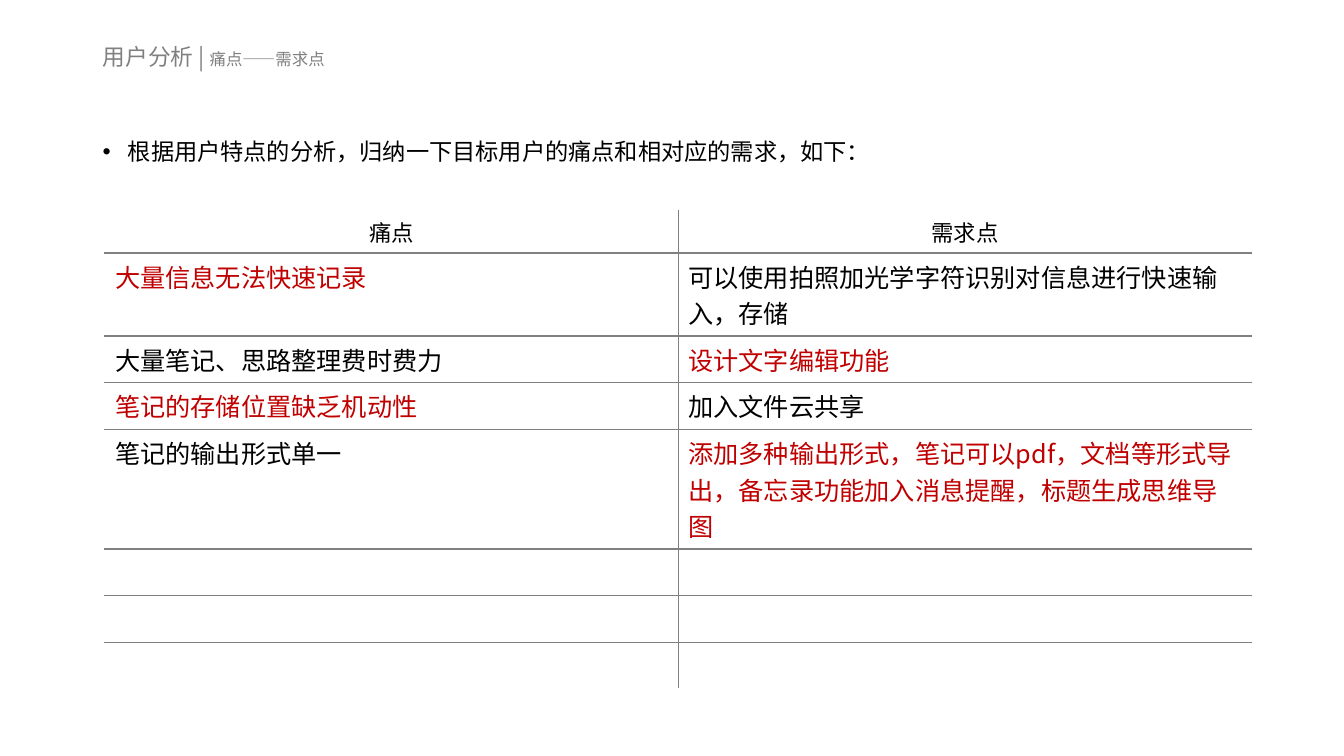
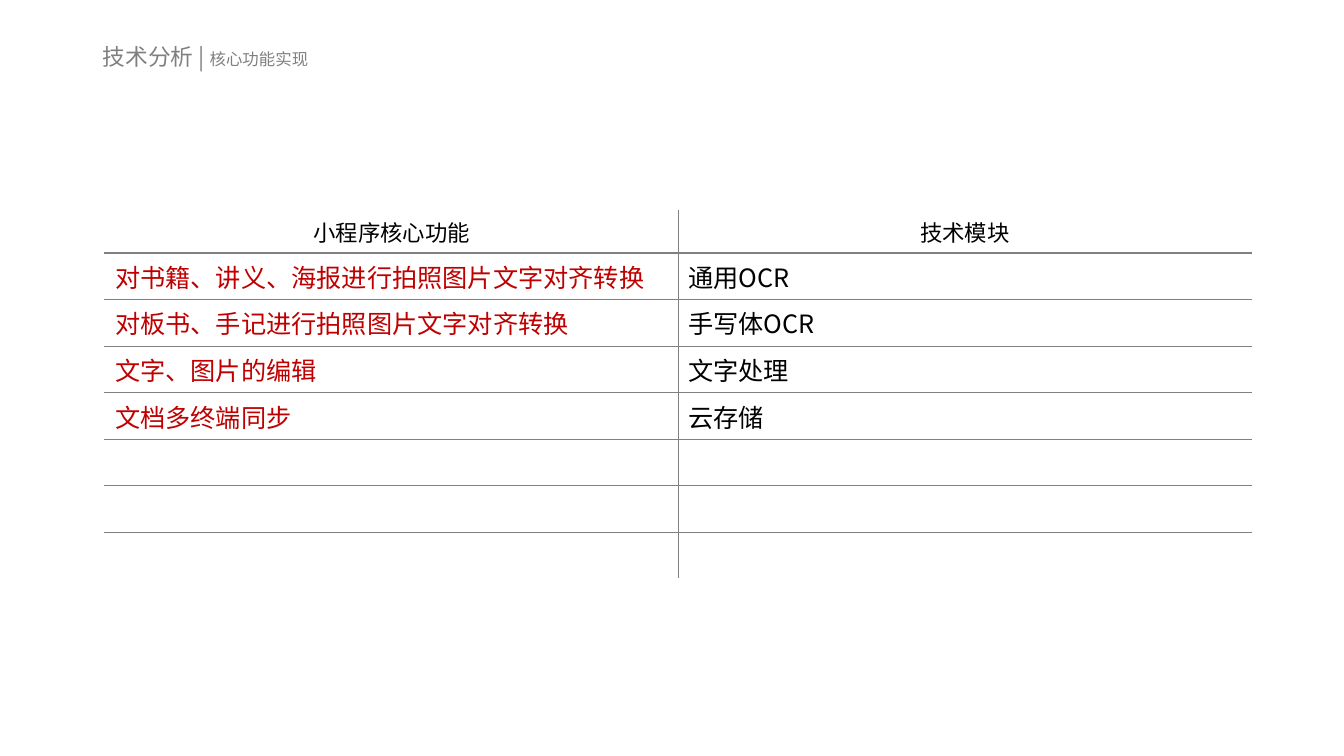
import math

import pptx
import pptx.dml.color
import pptx.enum.text
import pptx.oxml
import pptx.oxml.ns
import pptx.util

Pt = pptx.util.Pt
qn = pptx.oxml.ns.qn
ALIGN = pptx.enum.text.PP_ALIGN
ANCHOR = pptx.enum.text.MSO_ANCHOR


def rgb(value):
    return pptx.dml.color.RGBColor.from_string(value)


class Deck:
    """Holds the shared style and the slide being built."""

    FONT = "Noto Sans CJK SC"
    GREY, BLACK, RED, WHITE = "808080", "000000", "C00000", "FFFFFF"
    LEFT, WIDTH = 66.25, 828
    TABLE_LEFT, TABLE_TOP, COLUMN = 75, 150.5, 409.5
    HEADER_SIZE, CELL_SIZE = 16, 18
    HEADER_HEIGHT, LINE_HEIGHT, ROWS = 30.2, 26.1, 8
    PAD_X, PAD_Y = 7.2, 3.6

    def __init__(self):
        self.prs = pptx.Presentation()
        self.prs.slide_width, self.prs.slide_height = Pt(960), Pt(540)
        self.s = None

    def add_slide(self, title, subtitle):
        self.s = self.prs.slides.add_slide(self.prs.slide_layouts[6])
        tf = self.text_box(29)
        tf.vertical_anchor = ANCHOR.MIDDLE
        p = tf.paragraphs[0]
        p.line_spacing = 0.9
        for text, size in ((title + " | ", 16.2), (subtitle, 11.7)):
            r = p.add_run()
            r.text = text
            self.style(r.font, r._r.get_or_add_rPr(), size, self.GREY)

    def text_box(self, top):
        sp = self.s.shapes.add_textbox(Pt(self.LEFT), Pt(top), Pt(self.WIDTH), Pt(25))
        sp.text_frame.word_wrap = True
        return sp.text_frame

    def style(self, font, props, size, color):
        font.size, font.name = Pt(size), self.FONT
        font.color.rgb = rgb(color)
        ea = props.makeelement(qn("a:ea"), {"typeface": self.FONT})
        props.find(qn("a:latin")).addnext(ea)

    def style_paragraph(self, p, size, color):
        font = p.font
        self.style(font, p._p.pPr.find(qn("a:defRPr")), size, color)

    def bullet(self, text, top):
        p = self.text_box(top).paragraphs[0]
        p.text = text
        p.line_spacing, p.space_before = 0.8, Pt(10)
        self.style_paragraph(p, 16.6, self.BLACK)
        pPr = p._p.pPr
        pPr.set("marL", str(Pt(18)))
        pPr.set("indent", str(-Pt(18)))
        for tag, attrs in (("a:buFont", {"typeface": "Arial"}), ("a:buChar", {"char": "•"})):
            pPr.find(qn("a:defRPr")).addprevious(pPr.makeelement(qn(tag), attrs))

    def borders(self, cell, row, col):
        outer = {"L": col == 0, "R": col == 1, "T": row == 0, "B": row == self.ROWS - 1}
        tcPr = cell._tc.get_or_add_tcPr()
        for side, edge in outer.items():
            color = self.WHITE if edge else self.GREY
            tcPr.append(pptx.oxml.parse_xml(
                f'<a:ln{side} {pptx.oxml.ns.nsdecls("a")} w="{Pt(1)}"><a:solidFill>'
                f'<a:srgbClr val="{color}"/></a:solidFill></a:ln{side}>'))

    def row_height(self, texts):
        longest = max(map(len, texts))
        lines = math.ceil(longest * self.CELL_SIZE / (self.COLUMN - 2 * self.PAD_X))
        return max(lines, 1) * self.LINE_HEIGHT + 2 * self.PAD_Y

    def table(self, rows, is_red):
        rows = rows + [("", "")] * (self.ROWS - len(rows))
        heights = [self.HEADER_HEIGHT] + [self.row_height(texts) for texts in rows[1:]]
        table = self.s.shapes.add_table(
            self.ROWS, 2, Pt(self.TABLE_LEFT), Pt(self.TABLE_TOP),
            Pt(2 * self.COLUMN), Pt(sum(heights))).table
        table.first_row = table.horz_banding = False
        for column in table.columns:
            column.width = Pt(self.COLUMN)
        for row, height in enumerate(heights):
            table.rows[row].height = Pt(height)
            header = row == 0
            for col, text in enumerate(rows[row]):
                cell = table.cell(row, col)
                self.borders(cell, row, col)
                cell.fill.background()
                if not text:
                    continue
                p = cell.text_frame.paragraphs[0]
                p.text = text
                p.alignment = ALIGN.CENTER if header else ALIGN.LEFT
                color = self.RED if not header and is_red(row, col) else self.BLACK
                self.style_paragraph(p, self.HEADER_SIZE if header else self.CELL_SIZE, color)


def main():
    deck = Deck()

    deck.add_slide("用户分析", "痛点——需求点")
    deck.bullet("根据用户特点的分析，归纳一下目标用户的痛点和相对应的需求，如下：", 98.5)
    deck.table([
        ("痛点", "需求点"),
        ("大量信息无法快速记录", "可以使用拍照加光学字符识别对信息进行快速输入，存储"),
        ("大量笔记、思路整理费时费力", "设计文字编辑功能"),
        ("笔记的存储位置缺乏机动性", "加入文件云共享"),
        ("笔记的输出形式单一",
         "添加多种输出形式，笔记可以pdf，文档等形式导出，备忘录功能加入消息提醒，标题生成思维导图"),
    ], lambda row, col: (row + col) % 2 == 1)

    deck.add_slide("技术分析", "核心功能实现")
    deck.table([
        ("小程序核心功能", "技术模块"),
        ("对书籍、讲义、海报进行拍照图片文字对齐转换", "通用OCR"),
        ("对板书、手记进行拍照图片文字对齐转换", "手写体OCR"),
        ("文字、图片的编辑", "文字处理"),
        ("文档多终端同步", "云存储"),
    ], lambda row, col: col == 0)

    deck.prs.save("out.pptx")


if __name__ == "__main__":
    main()
